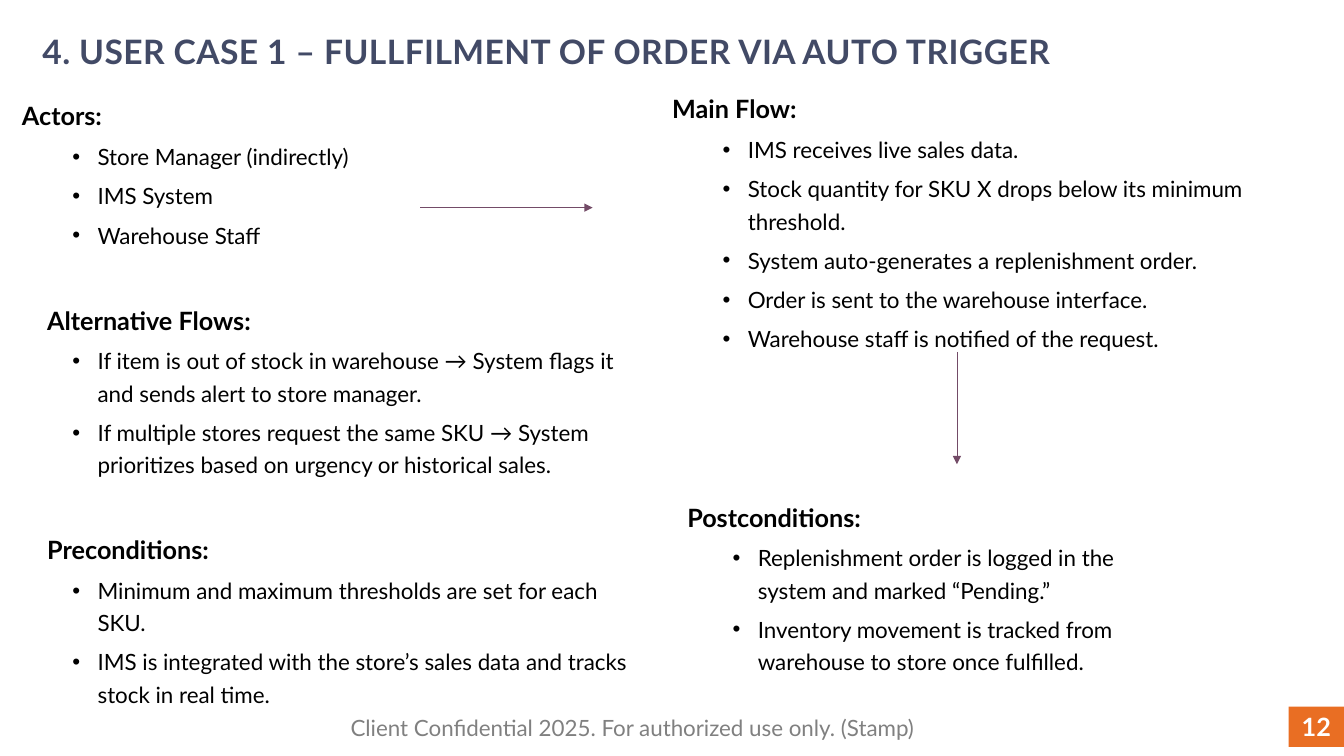
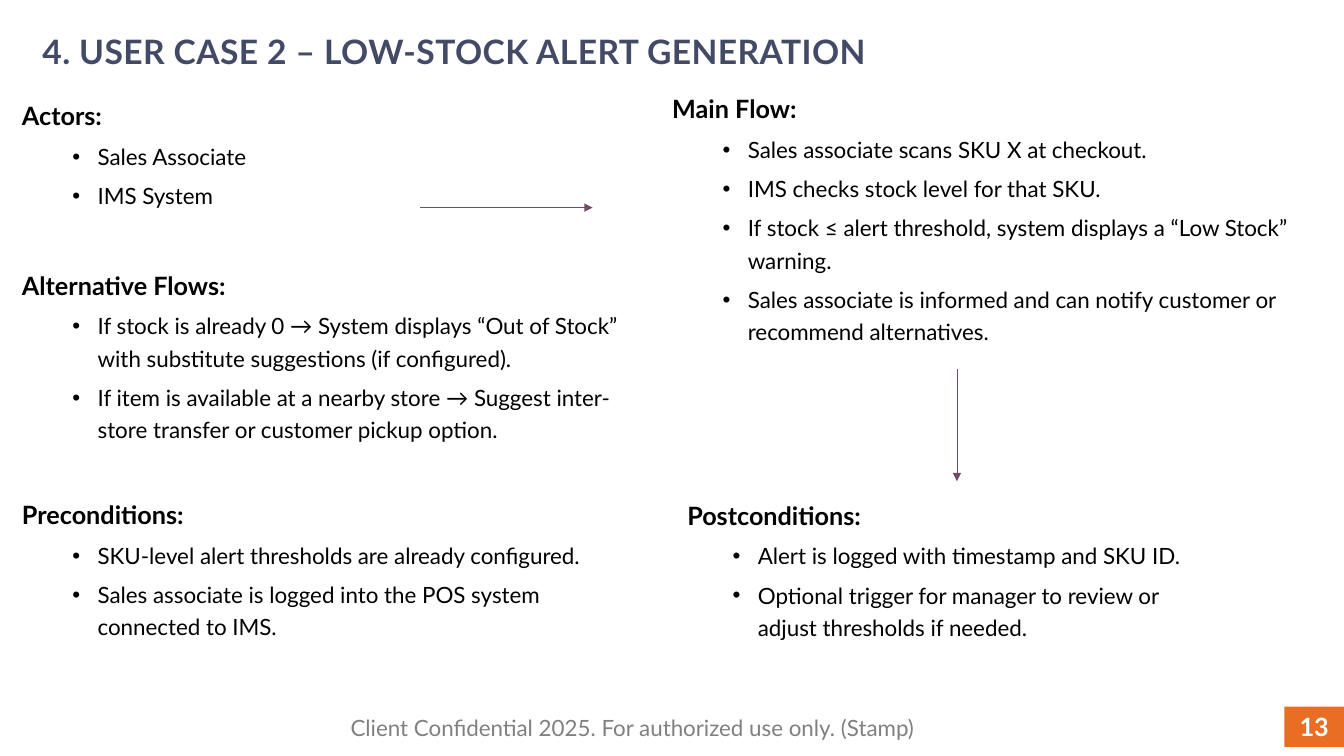
"""Build two use-case slides that share a title style, flow layout and footer."""
from lxml.etree import SubElement
from pptx import Presentation
from pptx.dml.color import RGBColor
from pptx.enum.shapes import MSO_CONNECTOR, MSO_SHAPE
from pptx.enum.text import MSO_ANCHOR, MSO_AUTO_SIZE, PP_ALIGN
from pptx.oxml.ns import qn
from pptx.util import Inches, Pt

COLORS = {
    "title": "424A66",
    "text": "000000",
    "arrow": "734B67",
    "badge": "E96E23",
    "badge_text": "FFFFFF",
    "footer": "808080",
}
FONT = "Lato"
FOOTER = "Client Confidential 2025. For authorized use only. (Stamp)"
SLIDE_WIDTH, SLIDE_HEIGHT = Inches(13.33), Inches(7.5)
COLUMNS, ROWS = 40, 30
TITLE_ONLY = 5

USE_CASES = [
    {
        "title": "4. USER CASE 1 – FULLFILMENT OF ORDER VIA AUTO TRIGGER",
        "number": 12,
        "badge_columns": 1.65,
        "heading_indent": 0.25,
        "gaps": (0, 36, 36),
        "arrow_row": 13.96,
        "post_row": 19.72,
        "left": [
            ("Actors:", ["Store Manager (indirectly)", "IMS System", "Warehouse Staff"]),
            ("Alternative Flows:", [
                "If item is out of stock in warehouse → System flags it and sends alert to store manager.",
                "If multiple stores request the same SKU → System prioritizes based on urgency or historical sales.",
            ]),
            ("Preconditions:", [
                "Minimum and maximum thresholds are set for each SKU.",
                "IMS is integrated with the store’s sales data and tracks stock in real time.",
            ]),
        ],
        "main": [
            "IMS receives live sales data.",
            "Stock quantity for SKU X drops below its minimum threshold.",
            "System auto-generates a replenishment order.",
            "Order is sent to the warehouse interface.",
            "Warehouse staff is notified of the request.",
        ],
        "post": [
            "Replenishment order is logged in the system and marked “Pending.”",
            "Inventory movement is tracked from warehouse to store once fulfilled.",
        ],
    },
    {
        "title": "4. USER CASE 2 – LOW-STOCK ALERT GENERATION",
        "number": 13,
        "badge_columns": 1.77,
        "heading_indent": 0,
        "gaps": (0, 39, 36),
        "arrow_row": 14.64,
        "post_row": 19.64,
        "left": [
            ("Actors:", ["Sales Associate", "IMS System"]),
            ("Alternative Flows:", [
                "If stock is already 0 → System displays “Out of Stock” with substitute suggestions (if configured).",
                "If item is available at a nearby store → Suggest inter-store transfer or customer pickup option.",
            ]),
            ("Preconditions:", [
                "SKU-level alert thresholds are already configured.",
                "Sales associate is logged into the POS system connected to IMS.",
            ]),
        ],
        "main": [
            "Sales associate scans SKU X at checkout.",
            "IMS checks stock level for that SKU.",
            "If stock ≤ alert threshold, system displays a “Low Stock” warning.",
            "Sales associate is informed and can notify customer or recommend alternatives.",
        ],
        "post": [
            "Alert is logged with timestamp and SKU ID.",
            "Optional trigger for manager to review or adjust thresholds if needed.",
        ],
    },
]


def grid(*cells):
    """Turn alternating columns and rows into lengths."""
    units = (SLIDE_WIDTH / COLUMNS, SLIDE_HEIGHT / ROWS)
    return [round(cell * units[index % 2]) for index, cell in enumerate(cells)]


def color(name):
    """Look up a palette colour."""
    return RGBColor.from_string(COLORS[name])


def style(paragraph, size, color_name, bold=False):
    """Set the font of a whole paragraph."""
    font = paragraph.font
    font.name, font.size, font.bold = FONT, Pt(size), bold
    font.color.rgb = color(color_name)


def indent(paragraph, left, first=0):
    """Set the left margin and first-line indent in inches."""
    properties = paragraph._p.get_or_add_pPr()
    properties.set("marL", str(Inches(left)))
    properties.set("indent", str(Inches(first)))
    return properties


def next_paragraph(frame):
    """Return the empty first paragraph or a new one."""
    first = frame.paragraphs[0]
    return first if not first.text else frame.add_paragraph()


def add_section(frame, heading, bullets, left=0, before=0, spacing=1.0):
    """Write a bold heading followed by its bullets."""
    paragraph = next_paragraph(frame)
    paragraph.text = heading
    indent(paragraph, left)
    paragraph.space_before, paragraph.line_spacing = Pt(before), spacing
    style(paragraph, 18, "text", bold=True)
    for bullet in bullets:
        paragraph = frame.add_paragraph()
        paragraph.text = bullet
        paragraph.level = 1
        properties = indent(paragraph, 0.75, -0.25)
        SubElement(properties, qn("a:buFont")).set("typeface", "Arial")
        SubElement(properties, qn("a:buChar")).set("char", "•")
        paragraph.space_before, paragraph.line_spacing = Pt(5), 1.2
        style(paragraph, 16, "text")


def add_text_frame(slide, *cells):
    """Add a wrapping text box and return its frame."""
    frame = slide.shapes.add_textbox(*grid(*cells)).text_frame
    frame.word_wrap = True
    return frame


def add_arrow(slide, *cells):
    """Add a thin arrow between two grid points."""
    connector = slide.shapes.add_connector(MSO_CONNECTOR.STRAIGHT, *grid(*cells))
    connector.line.color.rgb = color("arrow")
    connector.line.width = Pt(0.5)
    SubElement(connector.line._get_or_add_ln(), qn("a:tailEnd")).set("type", "triangle")
    SubElement(connector._element.spPr, qn("a:effectLst"))


def set_title(slide, text):
    """Place and format the title placeholder."""
    title = slide.shapes.title
    title.left, title.top, title.width, title.height = grid(0.96, 1.04, 39.04, 1.84)
    frame = title.text_frame
    frame.text = text
    frame.auto_size = MSO_AUTO_SIZE.NONE
    frame.vertical_anchor = MSO_ANCHOR.TOP
    paragraph = frame.paragraphs[0]
    paragraph.alignment = PP_ALIGN.LEFT
    style(paragraph, 24, "title", bold=True)
    paragraph.runs[0]._r.get_or_add_rPr().set("spc", "30")


def add_footer(slide, number, badge_columns):
    """Add the confidentiality line and the page badge."""
    frame = add_text_frame(slide, 10.14, 28.08, 19.5, 1.6)
    frame.vertical_anchor = MSO_ANCHOR.MIDDLE
    frame.text = FOOTER
    style(frame.paragraphs[0], 16, "footer")
    badge = slide.shapes.add_shape(
        MSO_SHAPE.RECTANGLE, *grid(COLUMNS - badge_columns, 28.04, badge_columns, 1.6))
    badge.shadow.inherit = False
    badge.fill.solid()
    badge.fill.fore_color.rgb = color("badge")
    badge.line.fill.background()
    badge.text_frame.text = str(number)
    badge.text_frame.word_wrap = False
    paragraph = badge.text_frame.paragraphs[0]
    paragraph.alignment = PP_ALIGN.CENTER
    style(paragraph, 18, "badge_text", bold=True)


def add_use_case(presentation, case):
    """Build one use-case slide."""
    slide = presentation.slides.add_slide(presentation.slide_layouts[TITLE_ONLY])
    set_title(slide, case["title"])
    frame = add_text_frame(slide, 0.36, 3.56, 18.9, 26.4)
    for index, (heading, bullets) in enumerate(case["left"]):
        left = case["heading_indent"] if index else 0
        add_section(frame, heading, bullets, left, case["gaps"][index], 1.2)
    frame = add_text_frame(slide, 20.01, case["post_row"], 15.63, 8)
    add_section(frame, "Postconditions:", case["post"], left=0.05)
    frame = add_text_frame(slide, 19.71, 3.52, 19.95, 10)
    add_section(frame, "Main Flow:", case["main"])
    add_arrow(slide, 12.51, 8.24, 17.64, 8.24)
    add_arrow(slide, 28.48, case["arrow_row"], 28.48, case["arrow_row"] + 4.46)
    add_footer(slide, case["number"], case["badge_columns"])


def main():
    """Create and save the presentation."""
    presentation = Presentation()
    presentation.slide_width, presentation.slide_height = SLIDE_WIDTH, SLIDE_HEIGHT
    for case in USE_CASES:
        add_use_case(presentation, case)
    presentation.save("out.pptx")


if __name__ == "__main__":
    main()
